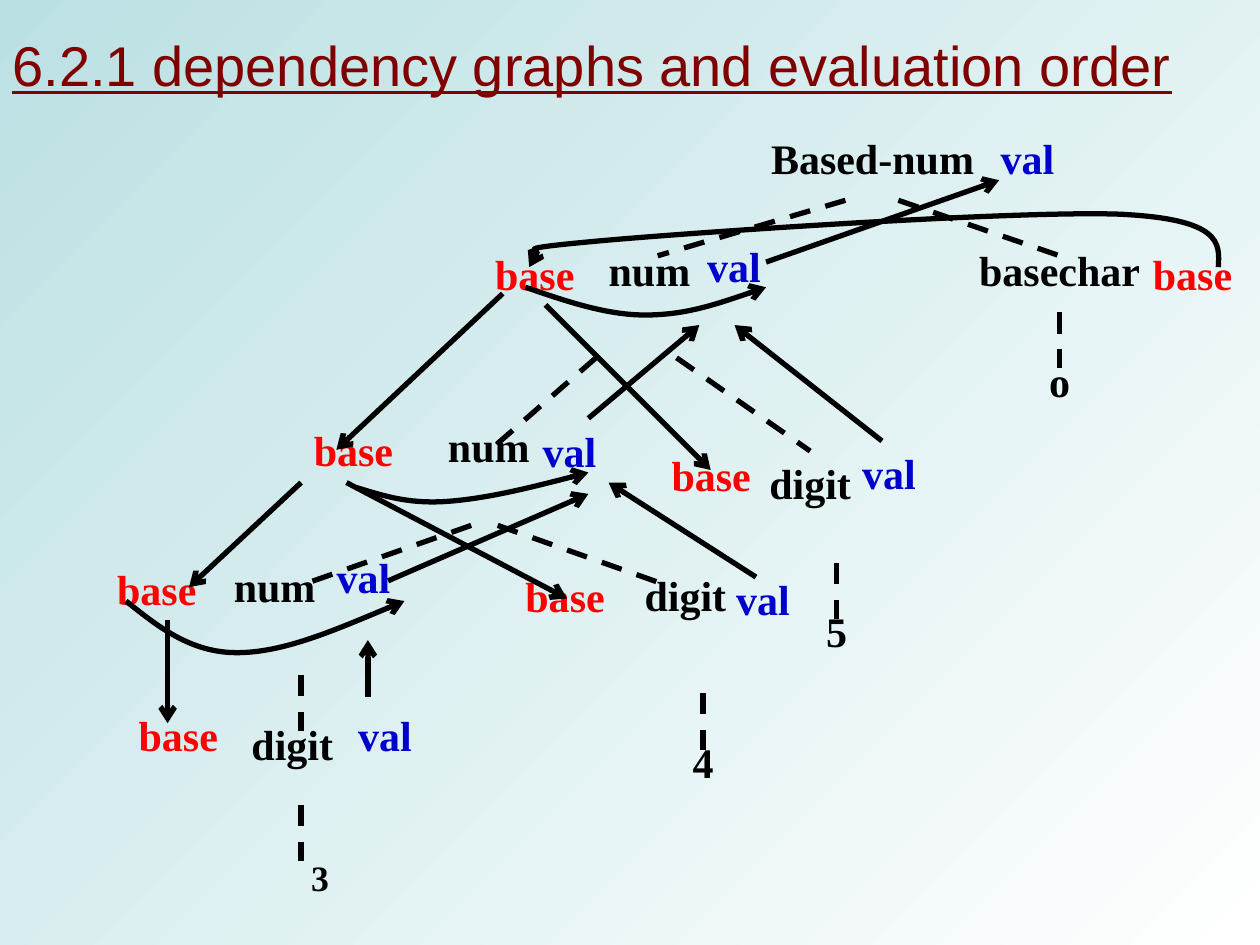
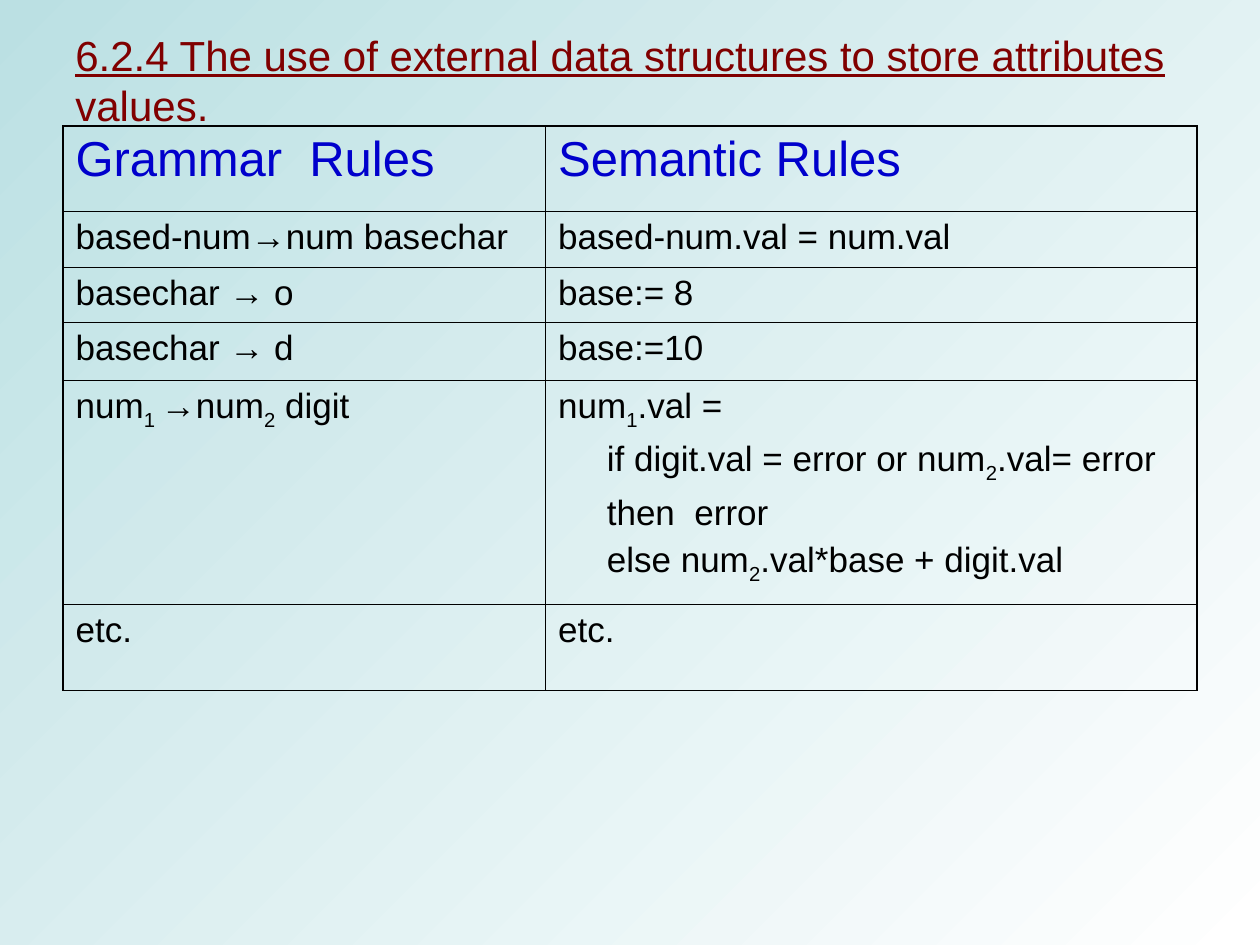
from lxml import etree
from pptx import Presentation
from pptx.dml.color import RGBColor
from pptx.enum.dml import MSO_LINE
from pptx.enum.shapes import MSO_CONNECTOR
from pptx.enum.text import MSO_ANCHOR, PP_ALIGN
from pptx.oxml.ns import qn
from pptx.util import Inches, Pt

SKY = RGBColor(0xBB, 0xE0, 0xE3)
WHITE = RGBColor(0xFF, 0xFF, 0xFF)
MAROON = RGBColor(0x80, 0x00, 0x00)
BLACK = RGBColor(0x00, 0x00, 0x00)
BLUE = RGBColor(0x00, 0x00, 0xCC)
RED = RGBColor(0xFF, 0x00, 0x00)
SANS, SERIF = "Arial", "Times New Roman"
LEFT, CENTER = PP_ALIGN.LEFT, PP_ALIGN.CENTER
TOP, MIDDLE = MSO_ANCHOR.TOP, MSO_ANCHOR.MIDDLE
STRAIGHT = MSO_CONNECTOR.STRAIGHT
DASH = MSO_LINE.DASH

prs = Presentation()
prs.slide_width, prs.slide_height = Inches(10), Inches(7.5)
U = prs.slide_width // 100  # every length below is in hundredths of the slide's width


def add_text(s, text, box, size, color, font, align=LEFT, anchor=TOP):
    """Add a one-paragraph text box; box is left, top, width, height."""
    tf = s.shapes.add_textbox(*(round(v * U) for v in box)).text_frame
    tf.word_wrap = True
    tf.vertical_anchor = anchor
    p = tf.paragraphs[0]
    p.alignment = align
    r = p.add_run()
    r.text = text
    r.font.size, r.font.name = Pt(size), font
    r.font.color.rgb = color
    return r


def style_line(sp, arrow):
    """Draw a thick black line without shadow, with an open arrow at its end if asked."""
    sp.line.color.rgb = BLACK
    sp.line.width = Pt(3)
    if arrow:
        etree.SubElement(sp.line._get_or_add_ln(), qn("a:tailEnd"), type="arrow")
    etree.SubElement(sp._element.spPr, qn("a:effectLst"))


# Both slides: background and title
titles = [
    ("6.2.1 dependency graphs and evaluation order", (0, 1.7, 100, 6.7), 32),
    ("6.2.4 The use of external data structures to store attributes values.",
     (5, 1.7, 93.3, 9.2), 24),
]
slides = []
for text, box, size in titles:
    s = prs.slides.add_slide(prs.slide_layouts[6])
    fill = s.background.fill
    fill.gradient()
    fill.gradient_angle = 315
    for stop, color in zip(fill.gradient_stops, (SKY, WHITE)):
        stop.color.rgb = color
    add_text(s, text, box, size, MAROON, SANS, anchor=MIDDLE).font.underline = True
    slides.append(s)
graph_slide, table_slide = slides

# Dependency graph: parse tree nodes in black, val in blue, base in red
nodes = [
    ("Based-num", 56.5, 10, 25.5, 7.4),
    ("num", 38.8, 18.9, 25.5, 9.6),
    ("basechar", 75.6, 18.9, 17, 7.4),
    ("o", 75.6, 27.7, 17, 7.4),
    ("num", 21.8, 32.9, 34, 10.4),
    ("digit", 55.8, 35.8, 17, 10.4),
    ("5", 57.9, 47.6, 17, 7.4),
    ("num", 13.3, 44, 17, 10.9),
    ("digit", 45.9, 44.7, 17, 10.4),
    ("4", 47.3, 58, 17, 7.4),
    ("digit", 14.7, 56.5, 17, 12.5),
]
val_boxes = [
    (68.3, 10, 26.5, 7.4), (45, 18.6, 26.5, 9.6), (27.5, 33.3, 35.4, 10.3),
    (61.7, 35, 17.7, 10.3), (20, 43.3, 17.7, 10.9), (51.7, 45, 17.7, 10.3),
    (21.7, 55.8, 17.7, 12.5),
]
base_corners = [(35.8, 19.2), (21.4, 33.2), (49.8, 35.2), (5.8, 44.2),
                (38.2, 44.8), (7.5, 55.8)]

labels = [(text, box, BLACK) for text, *box in nodes]
labels += [("val", box, BLUE) for box in val_boxes]
labels += [("base", (x, y, 13.3, 6.2), RED) for x, y in base_corners]
labels.append(("base", (85.8, 19.2, 17.7, 7.4), RED))
for text, box, color in labels:
    add_text(graph_slide, text, box, 24, color, SERIF, CENTER).font.bold = True
add_text(graph_slide, "3", (16.9, 67.4, 17, 4.7), 20.4, BLACK, SERIF, CENTER).font.bold = True

tree_edges = [
    (67.1, 15.9, 52.2, 20.3), (71.3, 15.9, 84.1, 20.3), (84.1, 24.8, 84.1, 29.2),
    (47.3, 28.4, 38.8, 35.8), (53.7, 28.4, 64.3, 35.8), (66.4, 44.7, 66.4, 49.1),
    (37.4, 41.7, 24.6, 46.2), (39.5, 41.7, 52.2, 46.2), (55.8, 55, 55.8, 59.5),
    (23.9, 53.6, 23.9, 58), (23.9, 63.9, 23.9, 68.3),
]
val_arrows = [
    (60.8, 20.8, 79.3, 14.3), (46.7, 33.2, 55.5, 25.8), (70, 35, 58.3, 25.8),
    (30.8, 46.1, 46.7, 39.2), (60, 45.8, 48.3, 38.3), (29.2, 55.3, 29.2, 50.8),
]
base_arrows = [
    (39.9, 23.3, 26.7, 35.7), (43.3, 24.2, 56.4, 37.3), (23.9, 38.3, 15, 46.6),
    (27.5, 38.3, 45, 47.5), (13.3, 49.2, 13.3, 57.4),
]
for edges, arrow in ((tree_edges, False), (val_arrows + base_arrows, True)):
    for ends in edges:
        cxn = graph_slide.shapes.add_connector(STRAIGHT, *(round(v * U) for v in ends))
        style_line(cxn, arrow)
        if not arrow:
            cxn.line.dash_style = DASH

# Curved arrows: a start point, then three Bezier points for each piece
curves = [
    [(96.7, 21.2), (96.8, 19.3), (97, 17.4), (88.9, 17), (80.7, 16.7), (55.6, 18.4),
     (47.8, 19.1), (40, 19.8), (42.9, 20.8), (42, 21.2)],
    [(41.7, 22.8), (44.9, 23.9), (48.1, 25), (51.2, 25), (54.4, 25), (57.6, 23.9),
     (60.8, 22.8)],
    [(28.3, 38.7), (30.3, 39.3), (32.3, 40), (35.4, 39.8), (38.4, 39.6), (42.6, 38.6),
     (46.7, 37.5)],
    [(10, 47.7), (12.5, 49.7), (15.1, 51.8), (18.8, 51.8), (22.5, 51.8), (27.3, 49.7),
     (32.1, 47.7)],
]
for points in curves:
    start, *rest = [(round(x * U), round(y * U)) for x, y in points]
    builder = graph_slide.shapes.build_freeform(*start)
    builder.add_line_segments(rest, close=False)
    sp = builder.convert_to_shape()
    segments = sp._element.xpath(".//a:lnTo")
    outline = segments[0].getparent()
    for i in range(0, len(segments), 3):
        bezier = etree.SubElement(outline, qn("a:cubicBezTo"))
        for segment in segments[i:i + 3]:
            bezier.append(segment[0])
            outline.remove(segment)
    sp.fill.background()
    style_line(sp, True)

# Table of rules: text between underscores is subscript, a leading tab indents
rules = [
    ("Grammar  Rules", "Semantic Rules"),
    ("based-num→num basechar", "based-num.val = num.val"),
    ("basechar → o", "base:= 8"),
    ("basechar → d", "base:=10"),
    ("num_1 _→num_2_ digit",
     "num_1_.val =\n\tif digit.val = error or num_2_.val= error\n"
     "\tthen  error\n\telse num_2_.val*base + digit.val"),
    ("etc.", "etc."),
]
col_widths = (38.3, 51.7)
row_heights = (6.8, 4.4, 4.4, 4.6, 17.8, 6.8)
frame = table_slide.shapes.add_table(len(rules), 2, 5 * U, 10 * U, 90 * U,
                                     round(sum(row_heights) * U))
table = frame.table
table.first_row = table.horz_banding = False
for col, width in zip(table.columns, col_widths):
    col.width = round(width * U)
for row, height in zip(table.rows, row_heights):
    row.height = round(height * U)

for i, rule in enumerate(rules):
    size, gap, color = (28, 7, BLUE) if i == 0 else (20, 5, BLACK)
    for j, text in enumerate(rule):
        cell = table.cell(i, j)
        tf = cell.text_frame
        for k, line in enumerate(text.split("\n")):
            p = tf.add_paragraph() if k else tf.paragraphs[0]
            p.space_before = Pt(gap)
            if line.startswith("\t"):
                p._p.get_or_add_pPr().set("marL", str(Pt(27.8)))
            for n, part in enumerate(line.strip("\t").split("_")):
                r = p.add_run()
                r.text = part
                r.font.size, r.font.name = Pt(size), SANS
                r.font.color.rgb = color
                if n % 2:
                    r.font._element.set("baseline", "-25000")
        tcPr = cell._tc.get_or_add_tcPr()
        outer_sides = {"L": j == 0, "R": j == 1, "T": i == 0, "B": i == len(rules) - 1}
        for side, outer in outer_sides.items():
            ln = etree.SubElement(tcPr, qn(f"a:ln{side}"), w=str(Pt(1.08 if outer else 0.45)))
            solid = etree.SubElement(ln, qn("a:solidFill"))
            etree.SubElement(solid, qn("a:srgbClr"), val=str(BLACK))
        cell.fill.background()

prs.save("out.pptx")
